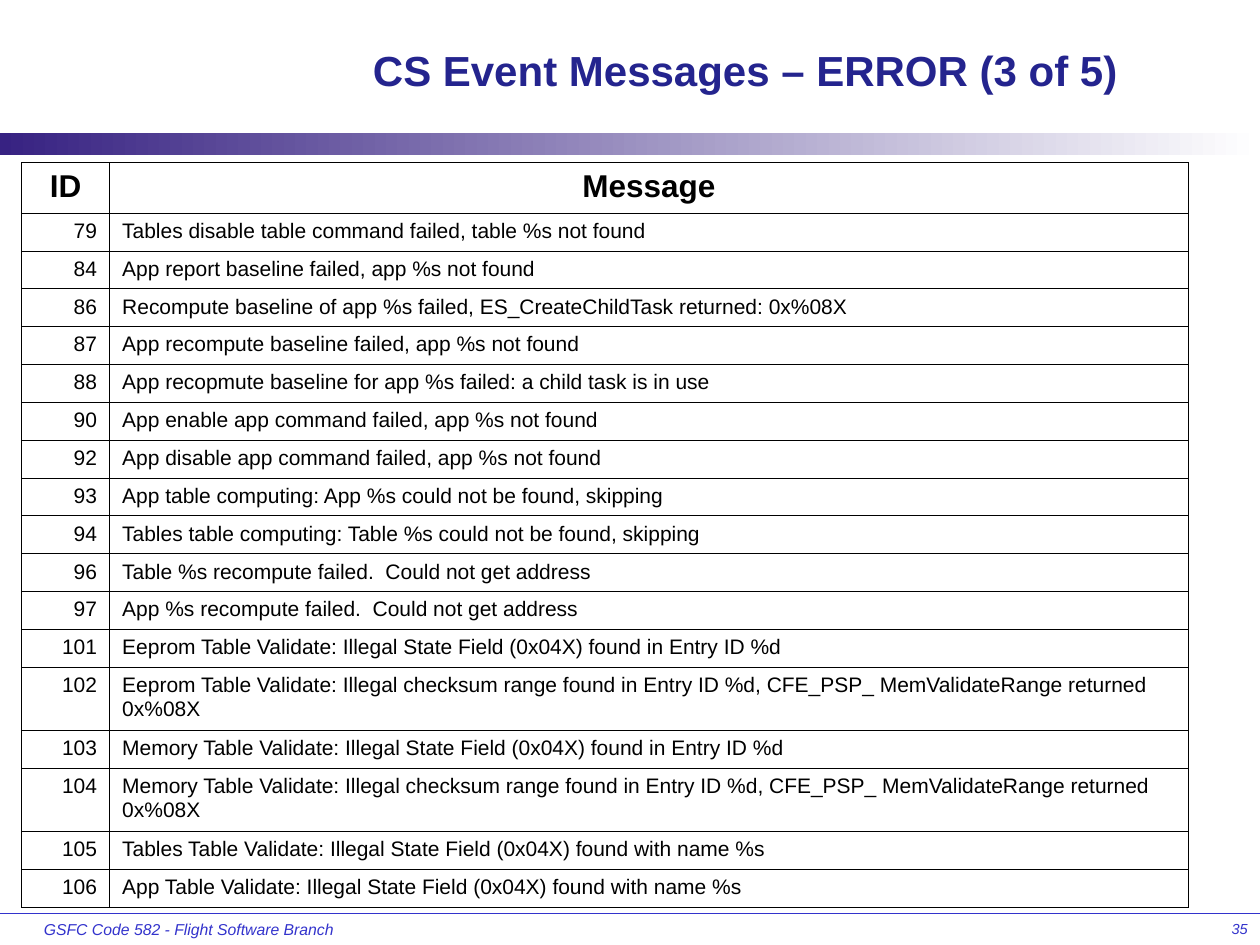
from lxml import etree
from pptx import Presentation
from pptx.dml.color import RGBColor
from pptx.enum import shapes as sh, text as tx
from pptx.oxml import ns
from pptx.util import Inches, Pt

TITLE = "CS Event Messages – ERROR (3 of 5)"
HEAD = ("ID", "Message")
ERRORS = [
    (79, "Tables disable table command failed, table %s not found"),
    (84, "App report baseline failed, app %s not found"),
    (86, "Recompute baseline of app %s failed, ES_CreateChildTask returned: 0x%08X"),
    (87, "App recompute baseline failed, app %s not found"),
    (88, "App recopmute baseline for app %s failed: a child task is in use"),
    (90, "App enable app command failed, app %s not found"),
    (92, "App disable app command failed, app %s not found"),
    (93, "App table computing: App %s could not be found, skipping"),
    (94, "Tables table computing: Table %s could not be found, skipping"),
    (96, "Table %s recompute failed.  Could not get address"),
    (97, "App %s recompute failed.  Could not get address"),
    (101, "Eeprom Table Validate: Illegal State Field (0x04X) found in Entry ID %d"),
    (102, "Eeprom Table Validate: Illegal checksum range found in Entry ID %d, "
          "CFE_PSP_ MemValidateRange returned 0x%08X"),
    (103, "Memory Table Validate: Illegal State Field (0x04X) found in Entry ID %d"),
    (104, "Memory Table Validate: Illegal checksum range found in Entry ID %d, "
          "CFE_PSP_ MemValidateRange returned 0x%08X"),
    (105, "Tables Table Validate: Illegal State Field (0x04X) found with name %s"),
    (106, "App Table Validate: Illegal State Field (0x04X) found with name %s"),
]
WIDTHS = (0.7, 8.56)
HEAD_H, ROW_H, TALL_H = 0.4, 0.3, 0.5
LINE_CHARS = 95

BLACK = RGBColor(0, 0, 0)
WHITE = RGBColor(0xFF, 0xFF, 0xFF)
NAVY = RGBColor(0x24, 0x24, 0x8E)
BLUE = RGBColor(0x33, 0x33, 0xCC)
VIOLET = RGBColor(0x37, 0x22, 0x82)
LEFT, MID, RIGHT = tx.PP_ALIGN.LEFT, tx.PP_ALIGN.CENTER, tx.PP_ALIGN.RIGHT


def box(*sides):
    return [Inches(side) for side in sides]


def write(frame, words, size, color, align, bold=False, italic=False):
    frame.text = words
    frame.word_wrap = True
    frame.margin_left = frame.margin_right = Inches(0.1)
    frame.margin_top = frame.margin_bottom = Inches(0.05)
    para = frame.paragraphs[0]
    para.alignment = align
    font = para.font
    font.name, font.size, font.color.rgb = "Arial", Pt(size), color
    font.bold, font.italic = bold, italic


def edge(cell):
    props = cell._tc.get_or_add_tcPr()
    for spot, side in enumerate(("lnL", "lnR", "lnT", "lnB")):
        line = etree.Element(ns.qn(f"a:{side}"), w=str(Pt(0.45)))
        fill = etree.SubElement(line, ns.qn("a:solidFill"))
        etree.SubElement(fill, ns.qn("a:srgbClr"), val=str(BLACK))
        props.insert(spot, line)


def add_rule(slide):
    rule = slide.shapes.add_connector(
        sh.MSO_CONNECTOR.STRAIGHT, *box(0, 7.25, 10, 7.25))
    rule.line.color.rgb, rule.line.width = BLUE, Pt(0.75)
    etree.SubElement(rule._element.spPr, ns.qn("a:effectLst"))


def add_band(slide):
    band = slide.shapes.add_shape(
        sh.MSO_SHAPE.RECTANGLE, *box(0, 1.06, 10, 0.17))
    band.shadow.inherit = False
    band.line.fill.background()
    band.fill.gradient()
    band.fill.gradient_angle = 0
    for stop, color in zip(band.fill.gradient_stops, (VIOLET, WHITE)):
        stop.color.rgb = color


def add_note(slide, words, left, width, size, align):
    note = slide.shapes.add_textbox(*box(left, 7.25, width, 0.25))
    write(note.text_frame, words, size, BLUE, align, italic=True)


def add_errors(slide):
    highs = [HEAD_H] + [TALL_H if len(words) > LINE_CHARS else ROW_H
                        for _, words in ERRORS]
    grid = slide.shapes.add_table(
        len(highs), len(WIDTHS),
        *box(0.17, 1.29, sum(WIDTHS), sum(highs))).table
    grid.first_row = grid.horz_banding = False
    for col, width in zip(grid.columns, WIDTHS):
        col.width = Inches(width)
    for row, high, words in zip(grid.rows, highs, [HEAD] + ERRORS):
        row.height = Inches(high)
        top = words is HEAD
        for cell, word, align in zip(row.cells, words, (RIGHT, LEFT)):
            write(cell.text_frame, str(word), 18 if top else 12, BLACK,
                  MID if top else align, bold=top)
            cell.fill.background()
            edge(cell)


def main():
    deck = Presentation()
    deck.slide_width, deck.slide_height = box(10, 7.5)
    slide = deck.slides.add_slide(deck.slide_layouts[5])
    add_rule(slide)
    add_band(slide)
    add_note(slide, "GSFC Code 582 - Flight Software Branch", 0.25, 2.5, 9, LEFT)
    add_note(slide, "35", 7.92, 2.08, 8.3, RIGHT)
    title = slide.shapes.title
    title.left, title.top, title.width, title.height = box(2.08, 0.17, 7.67, 0.76)
    write(title.text_frame, TITLE, 24, NAVY, MID, bold=True)
    title.text_frame.vertical_anchor = tx.MSO_ANCHOR.MIDDLE
    add_errors(slide)
    deck.save("out.pptx")


if __name__ == "__main__":
    main()
